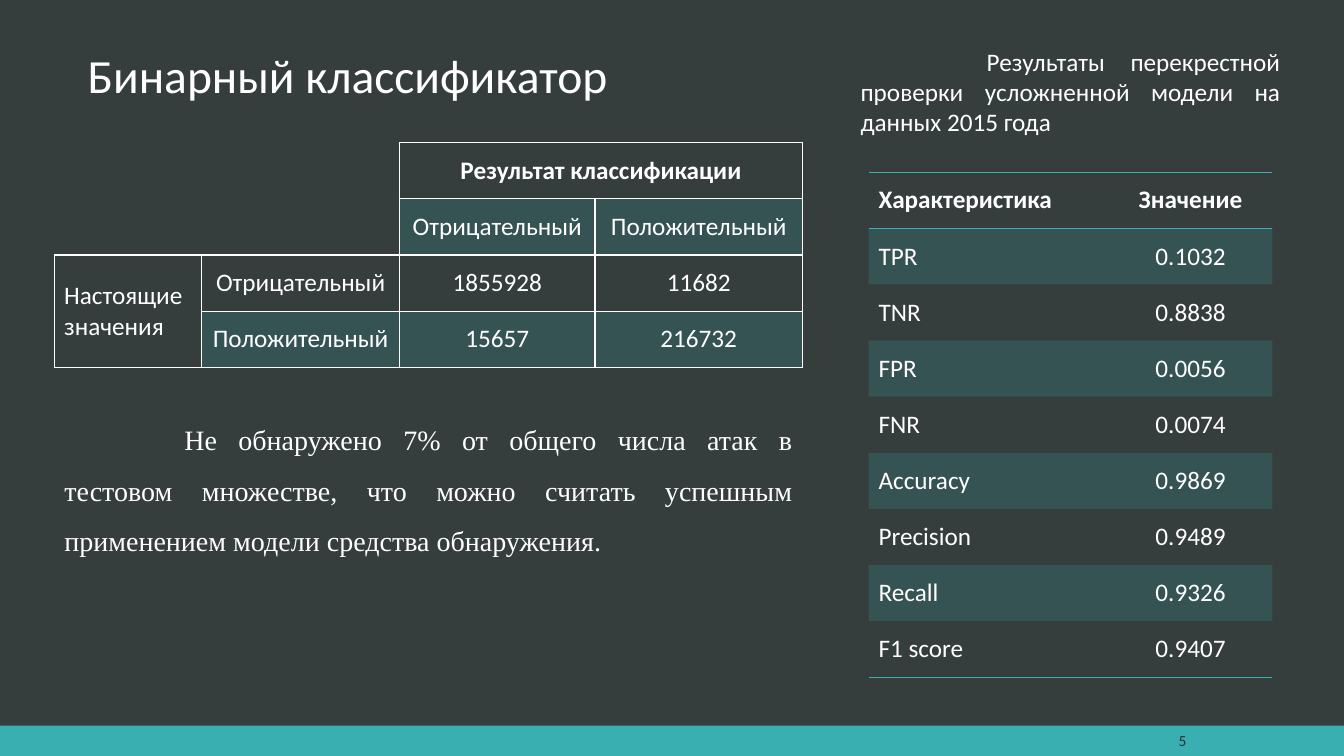
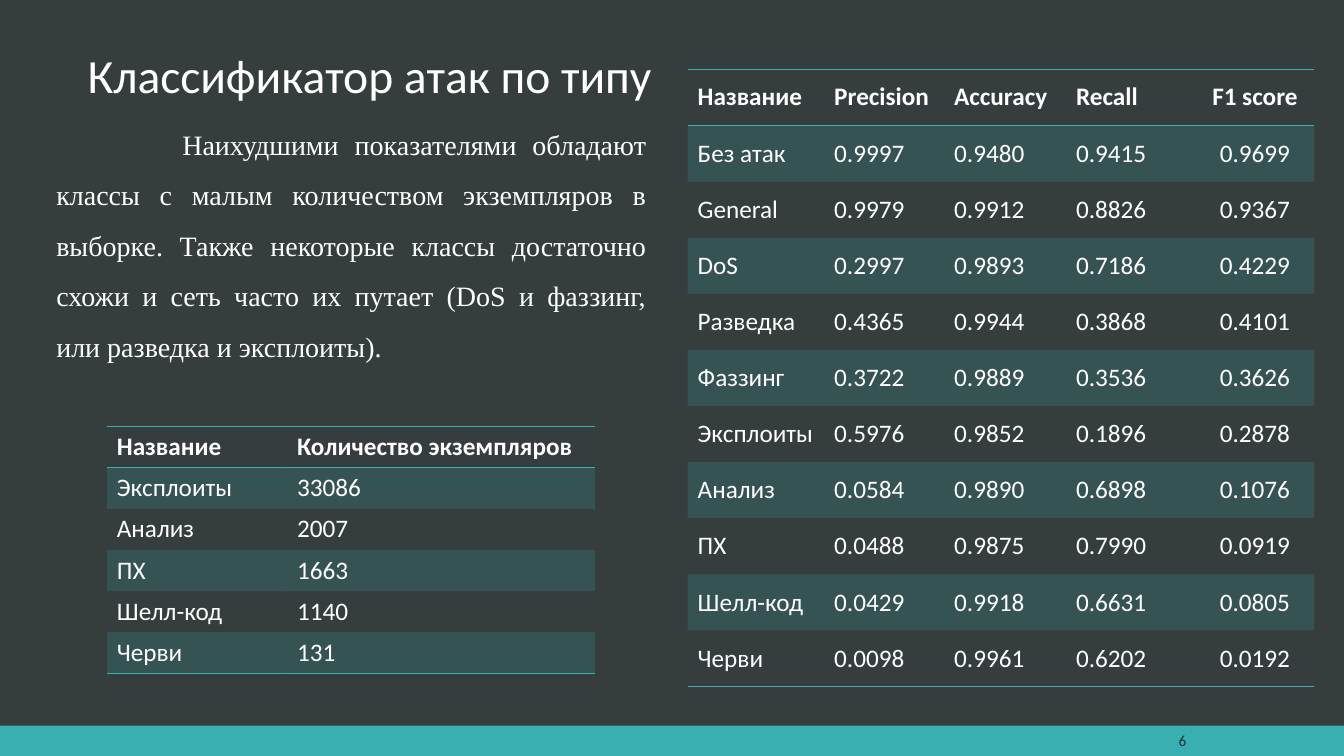
from lxml.etree import SubElement
from pptx import Presentation
from pptx.dml.color import RGBColor
from pptx.enum.shapes import MSO_SHAPE
from pptx.enum.text import MSO_ANCHOR, MSO_AUTO_SIZE, PP_ALIGN
from pptx.oxml.ns import qn
from pptx.util import Pt

DARK = RGBColor(0x36, 0x3D, 0x3D)
TEAL = RGBColor(0x3A, 0xAF, 0xB2)
WHITE = RGBColor(0xFF, 0xFF, 0xFF)
INK = RGBColor(0x28, 0x2E, 0x2E)

TITLE = {"name": "Calibri", "size": Pt(34), "bold": False}
CAPTION = {"name": "Calibri", "size": Pt(18), "bold": False}
HEADING = {**CAPTION, "bold": True}
BODY = {"name": "Times New Roman", "size": Pt(20), "bold": False}
NUMBER = {"name": "Calibri", "size": Pt(11), "bold": False}

PLAIN_STYLE = "{2D5ABB26-0587-4C30-8999-92F81FD0307C}"
ROW_HEIGHT = 40.1

CONFUSION = [
    ["", "", "Результат классификации", ""],
    ["", "", "Отрицательный", "Положительный"],
    ["Настоящие значения", "Отрицательный", "1855928", "11682"],
    ["", "Положительный", "15657", "216732"],
]
METRICS = [
    ["Характеристика", "Значение"],
    ["TPR", "0.1032"],
    ["TNR", "0.8838"],
    ["FPR", "0.0056"],
    ["FNR", "0.0074"],
    ["Accuracy", "0.9869"],
    ["Precision", "0.9489"],
    ["Recall", "0.9326"],
    ["F1 score", "0.9407"],
]
ATTACKS = [
    ["Название", "Precision", "Accuracy", "Recall", "F1 score"],
    ["Без атак", "0.9997", "0.9480", "0.9415", "0.9699"],
    ["General", "0.9979", "0.9912", "0.8826", "0.9367"],
    ["DoS", "0.2997", "0.9893", "0.7186", "0.4229"],
    ["Разведка", "0.4365", "0.9944", "0.3868", "0.4101"],
    ["Фаззинг", "0.3722", "0.9889", "0.3536", "0.3626"],
    ["Эксплоиты", "0.5976", "0.9852", "0.1896", "0.2878"],
    ["Анализ", "0.0584", "0.9890", "0.6898", "0.1076"],
    ["ПХ", "0.0488", "0.9875", "0.7990", "0.0919"],
    ["Шелл-код", "0.0429", "0.9918", "0.6631", "0.0805"],
    ["Черви", "0.0098", "0.9961", "0.6202", "0.0192"],
]
SAMPLES = [
    ["Название", "Количество экземпляров"],
    ["Эксплоиты", "33086"],
    ["Анализ", "2007"],
    ["ПХ", "1663"],
    ["Шелл-код", "1140"],
    ["Черви", "131"],
]


class DeckBuilder:
    """Hold the shared style and the current slide."""

    def __init__(self):
        """Start a wide deck with a dark master."""
        self.deck = Presentation()
        self.deck.slide_width, self.deck.slide_height = Pt(960), Pt(540)
        fill = self.deck.slide_master.background.fill
        fill.solid()
        fill.fore_color.rgb = DARK
        self.page = None

    def add_page(self, title):
        """Add a slide and fill its title placeholder."""
        first = self.page is None
        self.page = self.deck.slides.add_slide(self.deck.slide_layouts[5])
        if first:
            self.add_master_band()
        box = self.page.shapes.title
        place = {"left": Pt(55.4), "top": Pt(-19.4), "width": Pt(748.8), "height": Pt(97.2)}
        self.set_format(box, place)
        box.text_frame.vertical_anchor = MSO_ANCHOR.BOTTOM
        self.add_text(box.text_frame, title, TITLE, line_spacing=0.9)

    def add_master_band(self):
        """Put the bottom band on the slide master."""
        band = self.page.shapes.add_shape(MSO_SHAPE.RECTANGLE, 0, Pt(518.4), Pt(960), Pt(21.6))
        band.shadow.inherit = False
        band.fill.solid()
        band.fill.fore_color.rgb = TEAL
        band.line.fill.background()
        band.element.nvSpPr.cNvPr.set("id", "20")
        self.deck.slide_master.shapes.element.insert(2, band.element)

    def set_format(self, target, values):
        """Set attributes from a dict."""
        for name, value in values.items():
            setattr(target, name, value)

    def add_text(self, frame, text, font, color=WHITE, align=PP_ALIGN.LEFT, line_spacing=1.0):
        """Put one formatted paragraph into a text frame."""
        para = frame.paragraphs[0]
        self.set_format(para, {"alignment": align, "line_spacing": line_spacing})
        span = para.add_run()
        span.text = text
        self.set_format(span.font, font)
        span.font.color.rgb = color
        return para

    def add_box(self, left, top, width, height):
        """Add a wrapping text box and return its frame."""
        box = self.page.shapes.add_textbox(Pt(left), Pt(top), Pt(width), Pt(height))
        box.text_frame.word_wrap = True
        return box.text_frame

    def add_paragraph(self, text, place, font, line_spacing=1.0, indent=90):
        """Add justified text with a first-line indent."""
        frame = self.add_box(*place)
        frame.auto_size = MSO_AUTO_SIZE.SHAPE_TO_FIT_TEXT
        para = self.add_text(frame, text, font, align=PP_ALIGN.JUSTIFY, line_spacing=line_spacing)
        para._p.get_or_add_pPr().set("indent", str(Pt(indent)))

    def add_number(self, number):
        """Add the page number on the band."""
        frame = self.add_box(804.2, 519.8, 50.4, 18.7)
        frame.vertical_anchor = MSO_ANCHOR.MIDDLE
        self.add_text(frame, str(number), NUMBER, INK, PP_ALIGN.RIGHT)

    def add_border(self, cell, edges, color):
        """Draw the named edges of a cell."""
        for edge in edges:
            line = SubElement(cell._tc.get_or_add_tcPr(), qn(f"a:ln{edge}"), w=str(Pt(1)))
            fill = SubElement(line, qn("a:solidFill"))
            SubElement(fill, qn("a:srgbClr"), val=str(color))

    def fill_cell(self, cell, banded):
        """Tint a banded cell and clear any other."""
        if not banded:
            cell.fill.background()
            return
        cell.fill.solid()
        cell.fill.fore_color.rgb = TEAL
        tint = cell._tc.tcPr.find(qn("a:solidFill")).find(qn("a:srgbClr"))
        SubElement(tint, qn("a:alpha"), val="20000")

    def add_table(self, rows, left, top, widths, centred=(), row_height=ROW_HEIGHT, grid=False):
        """Add a banded table, ruled across or gridded around an open corner."""
        frame = self.page.shapes.add_table(
            len(rows), len(widths), Pt(left), Pt(top), Pt(sum(widths)), Pt(row_height * len(rows)))
        table = frame.table
        table._tbl.tblPr.find(qn("a:tableStyleId")).text = PLAIN_STYLE
        self.set_format(table, {"first_row": False, "horz_banding": False})
        for column, width in zip(table.columns, widths):
            column.width = Pt(width)
        for r, values in enumerate(rows):
            table.rows[r].height = Pt(row_height)
            for c, text in enumerate(values):
                cell = table.cell(r, c)
                cell.vertical_anchor = MSO_ANCHOR.MIDDLE
                inside = not grid or r > 1 or c > 1
                if grid:
                    self.add_border(cell, "LRTB" if inside else "", WHITE)
                else:
                    edges = "TB" if r == 0 else "B" if r == len(rows) - 1 else ""
                    self.add_border(cell, edges, TEAL)
                self.fill_cell(cell, inside and r % 2 == 1)
                if text:
                    align = PP_ALIGN.CENTER if c in centred else PP_ALIGN.LEFT
                    font = HEADING if r == 0 else CAPTION
                    self.add_text(cell.text_frame, text, font, align=align)
        return table


def main():
    """Build and save both slides."""
    builder = DeckBuilder()

    builder.add_page("Бинарный классификатор")
    builder.add_table(METRICS, 620.4, 123, [171.6, 116.9], centred=[1])
    builder.add_number(5)
    builder.add_paragraph(
        "Результаты перекрестной проверки усложненной модели на данных 2015 года",
        (607.7, 29.5, 313.9, 72.7), CAPTION)
    confusion = builder.add_table(
        CONFUSION, 38.7, 102, [105.4, 141.3, 139.6, 148.3], centred=[1, 2, 3], grid=True)
    confusion.cell(0, 2).merge(confusion.cell(0, 3))
    confusion.cell(2, 0).merge(confusion.cell(3, 0))
    builder.add_paragraph(
        "Не обнаружено 7% от общего числа атак в тестовом множестве, что можно считать "
        "успешным применением модели средства обнаружения.",
        (38.9, 286.6, 534.2, 112.3), BODY, line_spacing=1.5, indent=85.7)

    builder.add_page("Классификатор атак по типу")
    builder.add_table(ATTACKS, 491.2, 49.5, [97.5, 85.7, 87.1, 92.9, 84.2], centred=[4])
    builder.add_number(6)
    builder.add_paragraph(
        "Наихудшими показателями обладают классы с малым количеством экземпляров в выборке. "
        "Также некоторые классы достаточно схожи и сеть часто их путает (DoS и фаззинг, "
        "или разведка и эксплоиты).",
        (33.1, 75.6, 435.6, 184.3), BODY, line_spacing=1.5)
    builder.add_table(SAMPLES, 76.3, 304.6, [128.7, 220.1], row_height=29.4)

    builder.deck.save("out.pptx")


if __name__ == "__main__":
    main()
